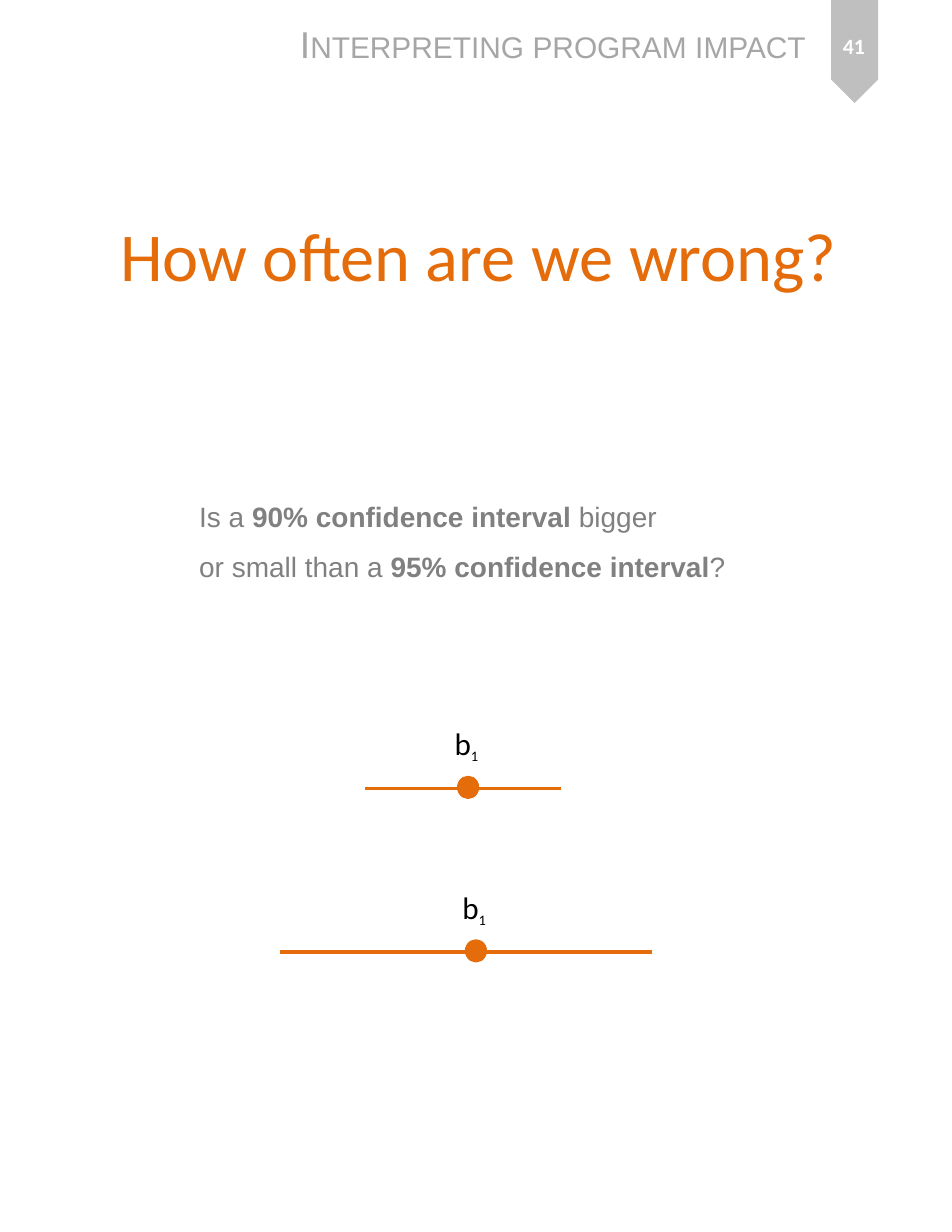
from pptx import Presentation
from pptx.dml.color import RGBColor
from pptx.enum.shapes import MSO_CONNECTOR, MSO_SHAPE
from pptx.enum.text import MSO_ANCHOR, MSO_AUTO_SIZE, PP_ALIGN
from pptx.oxml.ns import qn
from pptx.util import Inches, Pt

LEFT, CENTER, JUST = PP_ALIGN.LEFT, PP_ALIGN.CENTER, PP_ALIGN.JUSTIFY
TOP, MIDDLE = MSO_ANCHOR.TOP, MSO_ANCHOR.MIDDLE
GROW, FIXED = MSO_AUTO_SIZE.SHAPE_TO_FIT_TEXT, MSO_AUTO_SIZE.NONE
TAG, OVAL = MSO_SHAPE.PENTAGON, MSO_SHAPE.OVAL
LINE = MSO_CONNECTOR.STRAIGHT

COLORS = {"accent": "E46C0A", "tag": "BFBFBF", "head": "A6A6A6",
          "body": "808080", "ink": "000000", "white": "FFFFFF"}

# Content: each paragraph is a list of (text, run format) pairs
HEAD = [[("Interpreting program impact", {"cap": "small"})]]
TITLE = [[("How often are we wrong?", {})]]
PAGE = [[("41", {"bold": True})]]
ASK = [
    [("Is a ", {}), ("90% confidence interval ", {"bold": True}), ("bigger", {})],
    [("or small than a ", {}), ("95% confidence interval", {"bold": True}), ("?", {})],
]
LABEL = [[("b", {}), ("1", {"size": 16, "base": -25000})]]
# Intervals: line start, line end, line height, estimate
SPANS = [(2.5, 5.82, 8.5, 4.25), (3.26, 5.01, 7.04, 4.18)]
DOT = (0.17, 0.18)

deck = Presentation()
deck.slide_width, deck.slide_height = Inches(8.5), Inches(11)
slide = deck.slides.add_slide(deck.slide_layouts[6])
shapes = slide.shapes


def color(name):
    return RGBColor.from_string(COLORS[name])


def add_text(paras, box, size, tint, font="Calibri", align=LEFT,
             anchor=TOP, wrap=True, fit=GROW, space=None):
    frame = shapes.add_textbox(*map(Inches, box)).text_frame
    frame.word_wrap, frame.auto_size = wrap, fit
    frame.vertical_anchor = anchor
    for i, runs in enumerate(paras):
        para = frame.add_paragraph() if i else frame.paragraphs[0]
        para.alignment, para.line_spacing = align, space
        for text, form in runs:
            run = para.add_run()
            run.text = text
            run.font.name = font
            run.font.size = Pt(form.get("size", size))
            run.font.bold = form.get("bold", False)
            run.font.color.rgb = color(tint)
            props = run.font._element
            if "cap" in form:
                props.set("cap", form["cap"])
            if "base" in form:
                props.set("baseline", str(form["base"]))


def add_solid(kind, box, tint):
    shape = shapes.add_shape(kind, *map(Inches, box))
    shape.shadow.inherit = False
    shape.fill.solid()
    shape.fill.fore_color.rgb = color(tint)
    shape.line.fill.background()
    return shape


def add_span(start, end, y, mid):
    line = shapes.add_connector(LINE, *map(Inches, (start, y, end, y)))
    line.line.color.rgb = color("accent")
    line.line.width = Pt(2)
    props = line._element.spPr
    props.append(props.makeelement(qn("a:effectLst"), {}))
    add_text(LABEL, (mid - 0.22, y - 0.62, 0.42, 0.44), 20, "ink", wrap=False)
    wide, high = DOT
    dot = add_solid(OVAL, (mid - wide / 2, y - 0.1, wide, high), "accent")
    dot.line.color.rgb = color("accent")
    dot.line.width = Pt(2)


# Page tag and running head
add_solid(TAG, (7.17, 0.25, 0.92, 0.42), "tag").rotation = 90
add_text(HEAD, (2.58, 0.14, 4.96, 0.5), 24, "head", font="Arial", wrap=False)

# Title, question and page number
add_text(TITLE, (0.45, 1.35, 7.65, 1.83), 44, "accent",
         align=CENTER, anchor=MIDDLE, fit=FIXED)
add_text(ASK, (1.68, 4.26, 5.55, 0.95), 18, "body", font="Arial",
         align=JUST, space=1.5)
add_text(PAGE, (7.29, 0.11, 0.67, 0.59), 14, "white",
         align=CENTER, anchor=MIDDLE, fit=FIXED)

# Confidence intervals
for span in SPANS:
    add_span(*span)

deck.save("out.pptx")
